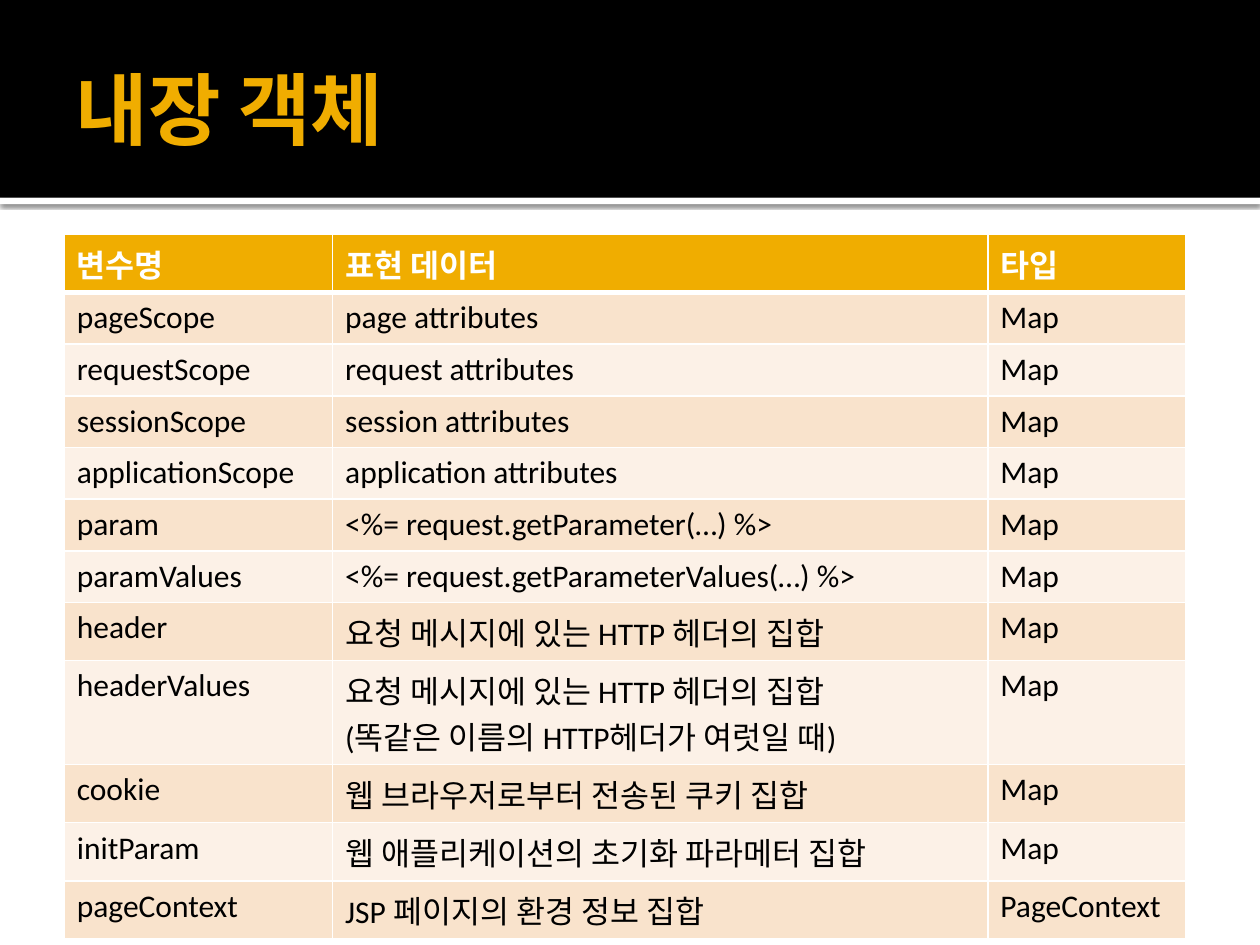
from lxml.etree import SubElement
from pptx import Presentation
from pptx.dml.color import RGBColor
from pptx.enum.shapes import MSO_SHAPE
from pptx.enum.text import MSO_ANCHOR, PP_ALIGN
from pptx.oxml import parse_xml
from pptx.oxml.ns import nsdecls, qn
from pptx.util import Inches, Pt

TITLE = "내장 객체"
HEADER = ("변수명", "표현 데이터", "타입")
OBJECTS = [
    ("pageScope", "page attributes", "Map"),
    ("requestScope", "request attributes", "Map"),
    ("sessionScope", "session attributes", "Map"),
    ("applicationScope", "application attributes", "Map"),
    ("param", "<%= request.getParameter(…) %>", "Map"),
    ("paramValues", "<%= request.getParameterValues(…) %>", "Map"),
    ("header", "요청 메시지에 있는 HTTP 헤더의 집합", "Map"),
    ("headerValues",
     "요청 메시지에 있는 HTTP 헤더의 집합\n(똑같은 이름의 HTTP헤더가 여럿일 때)", "Map"),
    ("cookie", "웹 브라우저로부터 전송된 쿠키 집합", "Map"),
    ("initParam", "웹 애플리케이션의 초기화 파라메터 집합", "Map"),
    ("pageContext", "JSP 페이지의 환경 정보 집합", "PageContext"),
]
COLUMN_WIDTHS = (2.13, 5.2, 1.57)
ROW_HEIGHT = 0.41
BAND_HEIGHT = 1.57
FONT = "Calibri"
COLORS = {"black": "000000", "white": "FFFFFF", "gold": "F0AD00",
          "odd_row": "F9E3CC", "even_row": "FCF1E7"}


def rgb(name):
    return RGBColor.from_string(COLORS[name])


def set_font(paragraph, size, color, bold):
    font = paragraph.font
    font.name, font.size, font.bold = FONT, Pt(size), bold
    font.color.rgb = rgb(color)


def add_band(slide, top, height, color):
    """Add a full-width rectangle behind the title."""
    band = slide.shapes.add_shape(
        MSO_SHAPE.RECTANGLE, 0, Inches(top), Inches(10), Inches(height))
    band.shadow.inherit = False
    band.fill.solid()
    band.fill.fore_color.rgb = rgb(color)
    band.line.fill.background()
    slide.shapes.title.element.addprevious(band.element)
    return band


def add_drop_shadow(shape):
    effects = shape.element.spPr.find(qn("a:effectLst"))
    effects.append(parse_xml(
        f'<a:outerShdw {nsdecls("a")} blurRad="{Pt(2.5)}" dist="{Pt(0.8)}" '
        f'dir="5400000" algn="tl" rotWithShape="0">'
        f'<a:srgbClr val="{COLORS["black"]}"><a:alpha val="60000"/></a:srgbClr>'
        f'</a:outerShdw>'))


def set_borders(cell, top, bottom):
    properties = cell._tc.get_or_add_tcPr()
    for side, width in (("L", 1), ("R", 1), ("T", top), ("B", bottom)):
        line = SubElement(properties, qn(f"a:ln{side}"), w=str(Pt(width)))
        fill = SubElement(line, qn("a:solidFill"))
        SubElement(fill, qn("a:srgbClr"), val=COLORS["white"])


def fill_cell(cell, text, row):
    is_header = row == 0
    cell.text = text
    for paragraph in cell.text_frame.paragraphs:
        set_font(paragraph, 18, "white" if is_header else "black", is_header)
    set_borders(cell, top=3 if row == 1 else 1, bottom=3 if is_header else 1)
    cell.fill.solid()
    cell.fill.fore_color.rgb = rgb(
        "gold" if is_header else "odd_row" if row % 2 else "even_row")


def add_title(slide):
    title = slide.shapes.title
    title.left, title.top = Inches(0.5), Inches(0.17)
    title.width, title.height = Inches(9), Inches(1.37)
    frame = title.text_frame
    frame.text = TITLE
    frame.vertical_anchor = MSO_ANCHOR.MIDDLE
    frame.margin_left = Inches(0.1)
    frame.margin_right = frame.margin_top = frame.margin_bottom = Inches(0.05)
    frame.paragraphs[0].alignment = PP_ALIGN.LEFT
    set_font(frame.paragraphs[0], 45, "gold", True)


def add_object_table(slide):
    rows = [HEADER, *OBJECTS]
    table = slide.shapes.add_table(
        len(rows), len(HEADER), Inches(0.51), Inches(1.86),
        Inches(sum(COLUMN_WIDTHS)), Inches(ROW_HEIGHT * len(rows))).table
    for column, width in zip(table.columns, COLUMN_WIDTHS):
        column.width = Inches(width)
    for row, texts in enumerate(rows):
        table.rows[row].height = Inches(ROW_HEIGHT)
        for column, text in enumerate(texts):
            fill_cell(table.cell(row, column), text, row)


def main():
    presentation = Presentation()
    presentation.slide_width, presentation.slide_height = Inches(10), Inches(7.5)
    slide = presentation.slides.add_slide(presentation.slide_layouts[5])
    add_drop_shadow(add_band(slide, BAND_HEIGHT, 0.05, "white"))
    add_band(slide, 0, BAND_HEIGHT, "black")
    add_title(slide)
    add_object_table(slide)
    presentation.save("out.pptx")


if __name__ == "__main__":
    main()
